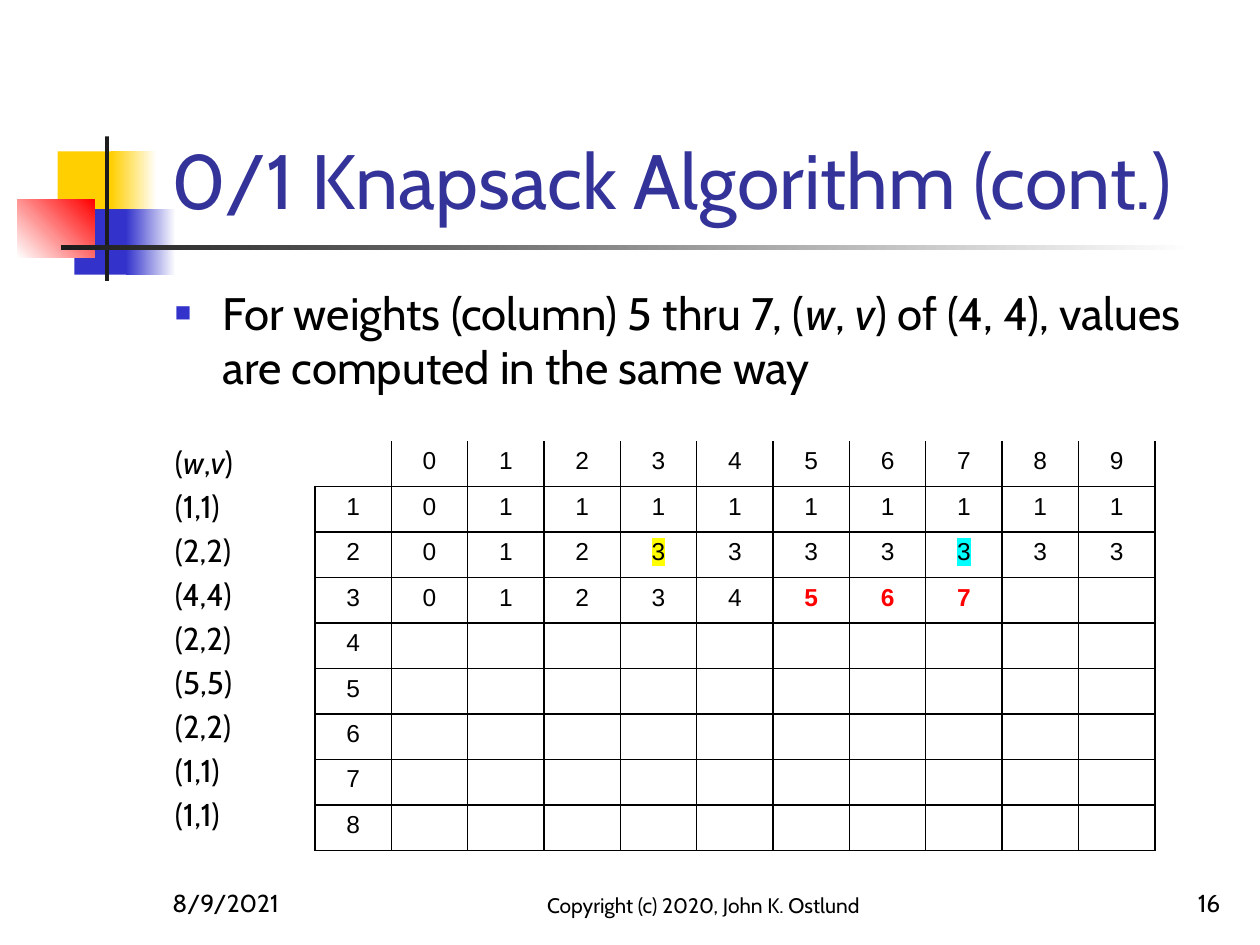
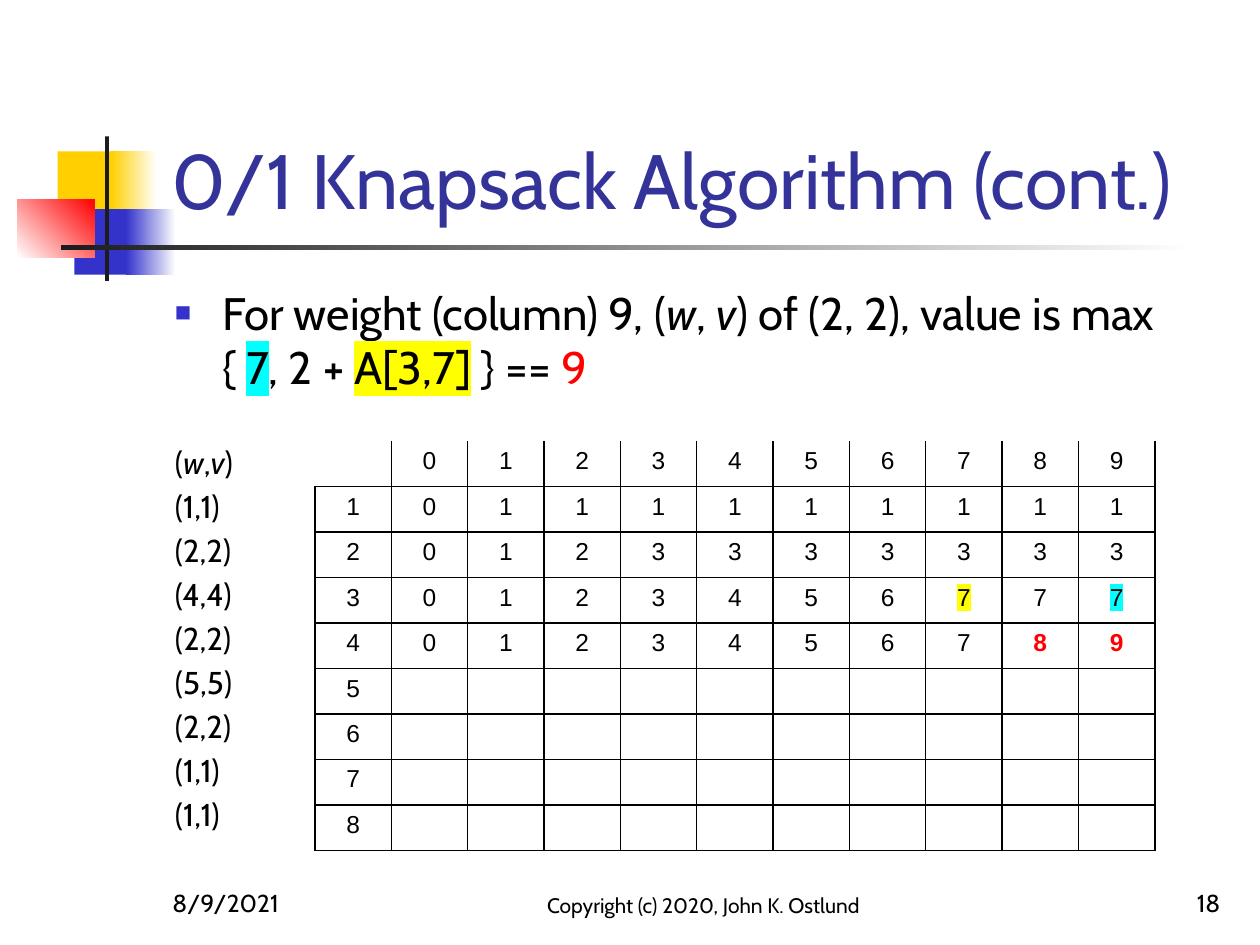
from pptx import Presentation
from pptx.dml.color import RGBColor
from pptx.enum.shapes import MSO_SHAPE as SHAPE
from pptx.enum.text import MSO_ANCHOR as ANCHOR, MSO_AUTO_SIZE as AUTO, PP_ALIGN as ALIGN
from pptx.oxml.ns import qn
from pptx.util import Pt
from lxml.etree import SubElement

BLACK = RGBColor(0x00, 0x00, 0x00)
WHITE = RGBColor(0xFF, 0xFF, 0xFF)
RED = RGBColor(0xFF, 0x00, 0x00)
BLUE = RGBColor(0x33, 0x33, 0xCC)
GOLD = RGBColor(0xFF, 0xCF, 0x01)
INK = RGBColor(0x1C, 0x1C, 0x1C)
TITLE_BLUE = RGBColor(0x33, 0x33, 0x99)
YELLOW = RGBColor(0xFF, 0xFF, 0x00)
CYAN = RGBColor(0x00, 0xFF, 0xFF)

PLAIN_TABLE = "{2D5ABB26-0587-4C30-8999-92F81FD0307C}"
ITEMS = [(1, 1), (2, 2), (4, 4), (2, 2), (5, 5), (2, 2), (1, 1), (1, 1)]
CAPACITY = 9
TITLE = "0/1 Knapsack Algorithm (cont.)"
ITALIC = {"italic": True}

DECOR = [
    (33, 86.5, 34.5, 37.5, GOLD, GOLD, 0),
    (63.5, 86.5, 26, 37.5, GOLD, WHITE, 0),
    (42.5, 119.5, 33, 37.5, BLUE, BLUE, 0),
    (72, 119.5, 28.5, 37.5, BLUE, WHITE, 0),
    (10, 113.75, 44, 33.5, WHITE, RED, 45),
    (60, 78, 2.25, 82.5, INK, INK, 0),
    (34.75, 140.25, 648, 2.5, INK, WHITE, 0),
]
FOOTERS = [
    (91.5, 150, 14, ALIGN.LEFT, "8/9/2021"),
    (288, 228, 12, ALIGN.CENTER, "Copyright (c) 2020, John K. Ostlund"),
    (554.5, 150, 14, ALIGN.RIGHT, "{number}"),
]
SLIDES = [
    {
        "number": 16,
        "text": [("For weights (column) 5 thru 7, (", {}), ("w", ITALIC), (", ", {}), ("v", ITALIC),
                 (") of (4, 4), values are computed in the same way", {})],
        "last": (3, 7),
        "marks": {(2, 3): YELLOW, (2, 7): CYAN},
        "new": [(3, 5), (3, 6), (3, 7)],
    },
    {
        "number": 18,
        "text": [("For weight (column) 9, (", {}), ("w", ITALIC), (", ", {}), ("v", ITALIC),
                 (") of (2, 2), value is max { ", {}), ("7", {"mark": CYAN}), (", 2 + ", {}),
                 ("A[3,7]", {"mark": YELLOW}), (" } == ", {}), ("9", {"color": RED})],
        "last": (4, 9),
        "marks": {(3, 7): YELLOW, (3, 9): CYAN},
        "new": [(4, 8), (4, 9)],
    },
]


def set_all(target, values):
    """Set each attribute named in values on target."""
    for name, value in values.items():
        setattr(target, name, value)


def add_color(parent, tag, color):
    """Append an XML colour holder to parent."""
    SubElement(SubElement(parent, qn(tag)), qn("a:srgbClr"), val=str(color))


def add_run(p, text, size, color=BLACK, mark=None, name="Cabin", **font):
    """Add one formatted run, with an optional highlight."""
    r = p.add_run()
    r.text = text
    r.font.color.rgb = color
    if mark:
        add_color(r.font._element, "a:highlight", mark)
    set_all(r.font, {"size": Pt(size), "name": name, **font})


def place(sp, left, top, width, height):
    """Move and size a shape, in points."""
    set_all(sp, {"left": Pt(left), "top": Pt(top), "width": Pt(width), "height": Pt(height)})


def frame(sp, anchor):
    """Return the wrapped, fixed-size text frame of a shape."""
    tf = sp.text_frame
    set_all(tf, {"word_wrap": True, "auto_size": AUTO.NONE, "vertical_anchor": anchor})
    return tf


def add_decor(s, layout):
    """Draw the coloured blocks and rules once, on the shared layout."""
    for left, top, width, height, start, end, angle in DECOR:
        sp = s.shapes.add_shape(SHAPE.RECTANGLE, Pt(left), Pt(top), Pt(width), Pt(height))
        sp.shadow.inherit = False
        sp.line.fill.background()
        if start == end:
            sp.fill.solid()
            sp.fill.fore_color.rgb = start
        else:
            sp.fill.gradient()
            sp.fill.gradient_angle = angle
            for stop, color in zip(sp.fill.gradient_stops, (start, end)):
                stop.color.rgb = color
        layout.shapes.element.append(sp.element)


def add_title(s):
    """Fill the title placeholder."""
    sp = s.shapes.title
    place(sp, 90.75, 16.5, 613.5, 115.5)
    p = frame(sp, ANCHOR.BOTTOM).paragraphs[0]
    p.alignment = ALIGN.LEFT
    add_run(p, TITLE, 44, TITLE_BLUE)


def add_body(s, text):
    """Fill the body placeholder with the bullet and the list of items."""
    sp = s.placeholders[1]
    place(sp, 92.75, 159, 612, 324)
    tf = frame(sp, ANCHOR.TOP)
    p = tf.paragraphs[0]
    set_all(p, {"space_before": Pt(0), "space_after": Pt(0)})
    pPr = p._p.get_or_add_pPr()
    pPr.set("marL", str(Pt(27)))
    pPr.set("indent", str(Pt(-27)))
    add_color(pPr, "a:buClr", BLUE)
    SubElement(pPr, qn("a:buSzPct"), val="60000")
    SubElement(pPr, qn("a:buChar"), char="■")
    for words, style in text:
        add_run(p, words, 26, **style)

    for i, (w, v) in enumerate([("w", "v")] + ITEMS):
        p = tf.add_paragraph()
        set_all(p, {"space_before": Pt(0 if i else 28), "space_after": Pt(3.6)})
        pPr = p._p.get_or_add_pPr()
        pPr.set("marL", "0")
        pPr.set("indent", "0")
        SubElement(pPr, qn("a:buNone"))
        style = {} if i else ITALIC
        for words, look in [("(", {}), (str(w), style), (",", {}), (str(v), style), (")", {})]:
            add_run(p, words, 18, **look)


def add_footers(s, number):
    """Add the date, the copyright line and the slide number."""
    for left, width, size, align, text in FOOTERS:
        sp = s.shapes.add_textbox(Pt(left), Pt(491.75), Pt(width), Pt(36))
        p = frame(sp, ANCHOR.BOTTOM).paragraphs[0]
        p.alignment = align
        add_run(p, text.format(number=number), size)


def best_values():
    """Return the best value for each item row and weight column."""
    rows = [[0] * (CAPACITY + 1)]
    for w, v in ITEMS:
        above = rows[-1]
        rows.append([max(above[c], v + above[c - w]) if c >= w else above[c]
                     for c in range(CAPACITY + 1)])
    return rows


def set_borders(cell, sides):
    """Draw thin black lines on the given sides of a cell."""
    tcPr = cell._tc.get_or_add_tcPr()
    for side in sides:
        ln = SubElement(tcPr, qn(f"a:ln{side}"), w=str(Pt(1)))
        add_color(ln, "a:solidFill", BLACK)


def add_grid(s, last, marks, new):
    """Add the value table, filled up to the last computed cell."""
    rows, cols = len(ITEMS) + 1, CAPACITY + 2
    sp = s.shapes.add_table(rows, cols, Pt(180), Pt(252), Pt(480), Pt(26 * rows))
    table = sp.table
    set_all(table, {"first_row": False, "horz_banding": False})
    sp.element.find(".//" + qn("a:tableStyleId")).text = PLAIN_TABLE
    for col in table.columns:
        col.width = Pt(480 / cols)
    values = best_values()
    for i in range(rows):
        for j in range(cols):
            key = (i, j - 1)
            cell = table.cell(i, j)
            set_borders(cell, "LRTB" if i else "LRB" if j else "RB")
            cell.fill.background()
            p = cell.text_frame.paragraphs[0]
            p.alignment = ALIGN.CENTER
            if i == 0:
                text = str(j - 1) if j else ""
            elif j == 0:
                text = str(i)
            else:
                text = str(values[i][j - 1]) if key <= last else ""
            if text:
                is_new = key in new
                add_run(p, text, 14, RED if is_new else BLACK, marks.get(key), "Arial", bold=is_new)
            else:
                SubElement(p._p, qn("a:endParaRPr"), sz="1400")


def main():
    """Build the slides and save the file."""
    prs = Presentation()
    set_all(prs, {"slide_width": Pt(720), "slide_height": Pt(540)})
    layout = prs.slide_layouts[1]
    for i, page in enumerate(SLIDES):
        s = prs.slides.add_slide(layout)
        if i == 0:
            add_decor(s, layout)
        add_title(s)
        add_body(s, page["text"])
        add_footers(s, page["number"])
        add_grid(s, page["last"], page["marks"], page["new"])
    prs.save("out.pptx")


if __name__ == "__main__":
    main()
